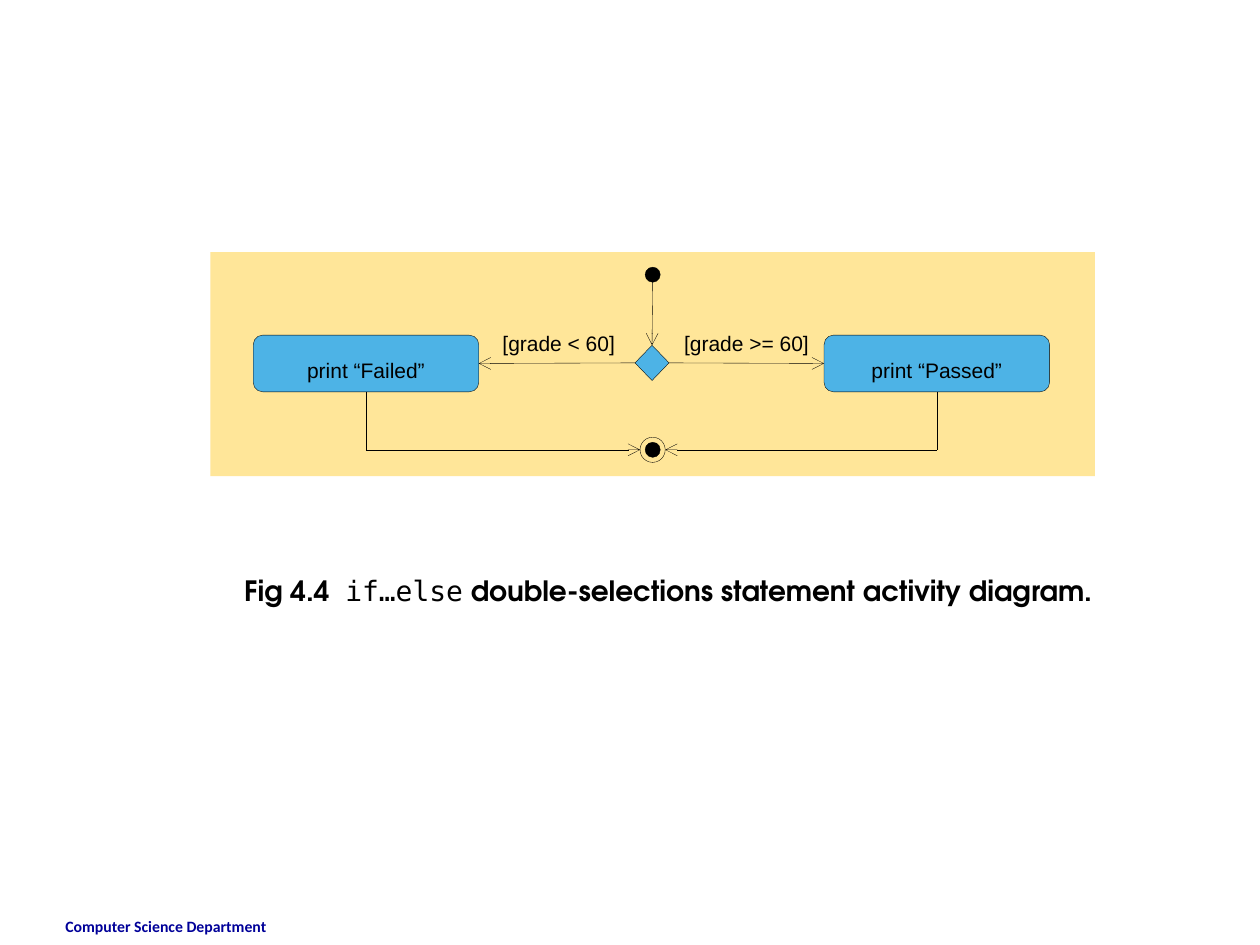
from pptx import Presentation
from pptx.dml.color import RGBColor
from pptx.enum.shapes import MSO_CONNECTOR as CONN, MSO_SHAPE as SHAPE
from pptx.enum.text import MSO_ANCHOR as ANCHOR, PP_ALIGN as ALIGN
from pptx.oxml.ns import qn
from pptx.util import Inches, Pt
from lxml.etree import SubElement

TOP, LEFT, BOTTOM, RIGHT = range(4)
BLACK, BLUE, SAND, NAVY = "000000", "4DB3E6", "FFE699", "000099"


def color(value):
    return RGBColor.from_string(value)


def add_run(p, text, font="Arial", size=12, fill=BLACK, bold=False):
    r = p.add_run()
    r.text = text
    r.font.name = font
    r.font.size = Pt(size)
    r.font.bold = bold
    r.font.color.rgb = color(fill)


def set_margins(tf, left, top, right, bottom):
    tf.margin_left, tf.margin_top = Inches(left), Inches(top)
    tf.margin_right, tf.margin_bottom = Inches(right), Inches(bottom)


class Diagram:
    def __init__(self, slide, line_width=0.2):
        self.s = slide
        self.line_width = Pt(line_width)

    def shape(self, kind, x, y, w, h, fill=None, line=BLACK):
        sp = self.s.shapes.add_shape(kind, Inches(x), Inches(y), Inches(w), Inches(h))
        sp.shadow.inherit = False
        if fill:
            sp.fill.solid()
            sp.fill.fore_color.rgb = color(fill)
        else:
            sp.fill.background()
        if line:
            sp.line.color.rgb = color(line)
            sp.line.width = self.line_width
        else:
            sp.line.fill.background()
        return sp

    def circle(self, x, y, size, fill=None):
        return self.shape(SHAPE.OVAL, x - size / 2, y - size / 2, size, size, fill)

    def action(self, x, y, text):
        sp = self.shape(SHAPE.ROUNDED_RECTANGLE, x, y, 1.79, 0.45, BLUE)
        sp.adjustments[0] = 0.167
        tf = sp.text_frame
        tf.vertical_anchor = ANCHOR.TOP
        set_margins(tf, 0.06, 0.16, 0.06, 0)
        p = tf.paragraphs[0]
        p.alignment = ALIGN.CENTER
        add_run(p, text)
        return sp

    def text(self, x, y, w, h, runs, margins=(0.1, 0.05, 0.1, 0.05),
             align=ALIGN.LEFT, wrap=True, indent=0):
        sp = self.s.shapes.add_textbox(Inches(x), Inches(y), Inches(w), Inches(h))
        tf = sp.text_frame
        tf.word_wrap = wrap
        set_margins(tf, *margins)
        p = tf.paragraphs[0]
        p.alignment = align
        if indent:
            p._p.get_or_add_pPr().set("marL", str(Inches(indent)))
        for content, style in runs:
            add_run(p, content, **style)

    def guard(self, x, text):
        self.text(x, 2.62, 1.05, 0.18, [(text, {})], (0, 0, 0, 0), ALIGN.CENTER)

    def line(self, start, end, begin=None, finish=None, arrow=True):
        sp = self.s.shapes.add_connector(CONN.STRAIGHT, *map(Inches, start + end))
        if begin:
            sp.begin_connect(*begin)
        if finish:
            sp.end_connect(*finish)
        sp.line.color.rgb = color(BLACK)
        sp.line.width = self.line_width
        if arrow:
            SubElement(sp.line._get_or_add_ln(), qn("a:tailEnd"), type="arrow")
        SubElement(sp._element.spPr, qn("a:effectLst"))


def main():
    prs = Presentation()
    prs.slide_width, prs.slide_height = Inches(10), Inches(7.5)
    d = Diagram(prs.slides.add_slide(prs.slide_layouts[6]))

    d.text(0.42, 7.23, 2.33, 0.27, [
        ("Computer Science Department",
         dict(font="Calibri", size=9, fill=NAVY, bold=True)),
    ])
    heading = dict(font="TeX Gyre Adventor", size=16, bold=True)
    d.text(0.84, 4.5, 7.94, 0.37, [
        ("Fig 4.4  ", heading),
        ("if…else", dict(font="DejaVu Sans Mono", size=16)),
        (" double-selections statement activity diagram.", heading),
    ], wrap=False, indent=1)

    d.shape(SHAPE.RECTANGLE, 1.67, 2, 7.02, 1.78, SAND, None)
    center, mid_y, end_y = 5.18, 2.88, 3.57
    d.circle(center, 2.18, 0.12, BLACK)
    decision = d.shape(SHAPE.DIAMOND, 5.04, 2.74, 0.27, 0.28, BLUE)
    d.circle(center, end_y, 0.12, BLACK)
    d.circle(center, end_y, 0.2)
    d.line((center, 2.24), (center, 2.74), finish=(decision, TOP))

    branches = [
        (2.01, 3.91, "print “Failed”", "[grade < 60]", LEFT, RIGHT, 5.08),
        (6.54, 5.4, "print “Passed”", "[grade >= 60]", RIGHT, LEFT, 5.28),
    ]
    for x, guard_x, action, guard, out, into, final_x in branches:
        box = d.action(x, 2.66, action)
        d.guard(guard_x, guard)
        d.line((center, mid_y), (x, mid_y), (decision, out), (box, into))
        corner = (x + 1.79 / 2, end_y)
        d.line((corner[0], 3.11), corner, (box, BOTTOM), arrow=False)
        d.line(corner, (final_x, end_y))

    prs.save("out.pptx")


if __name__ == "__main__":
    main()
